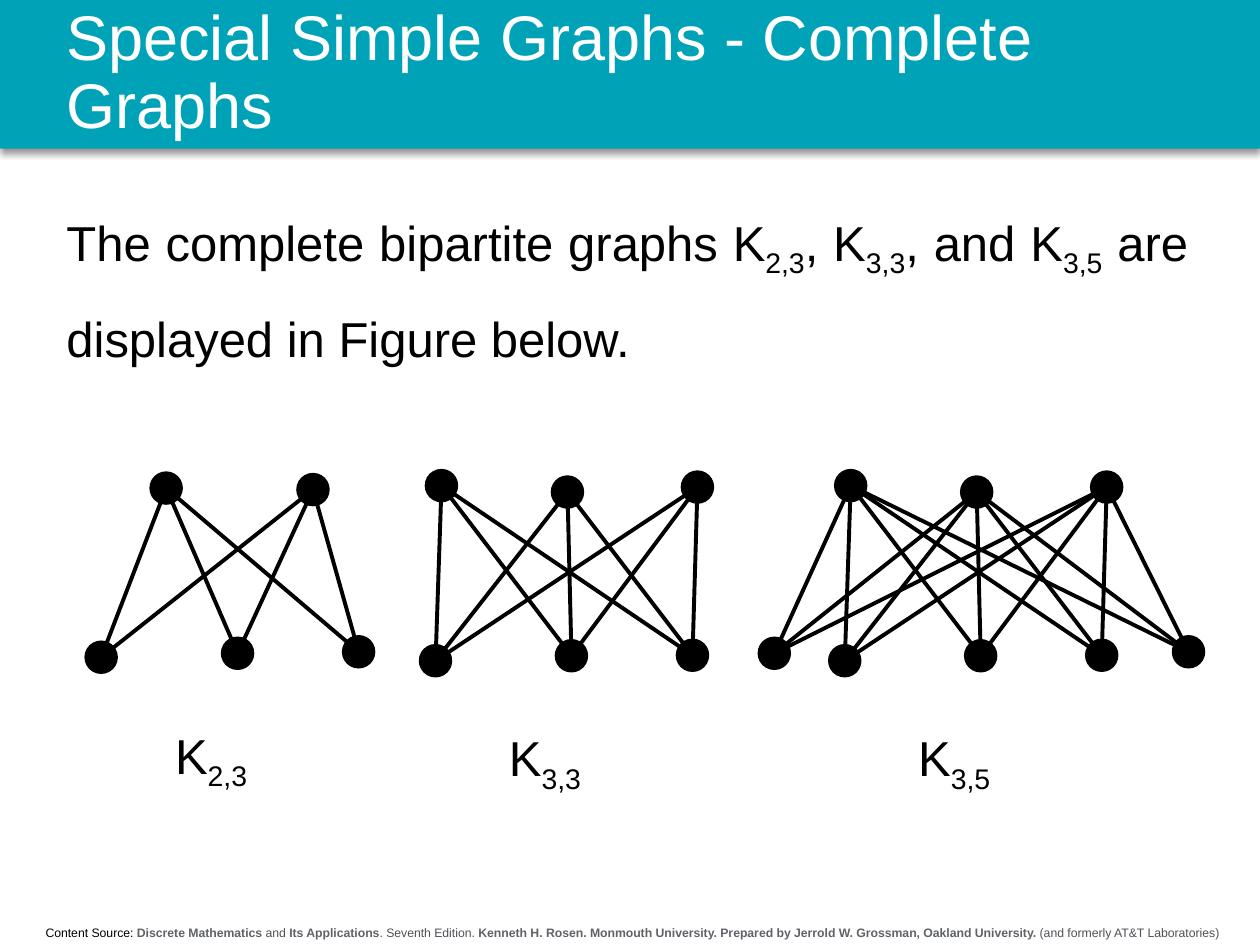
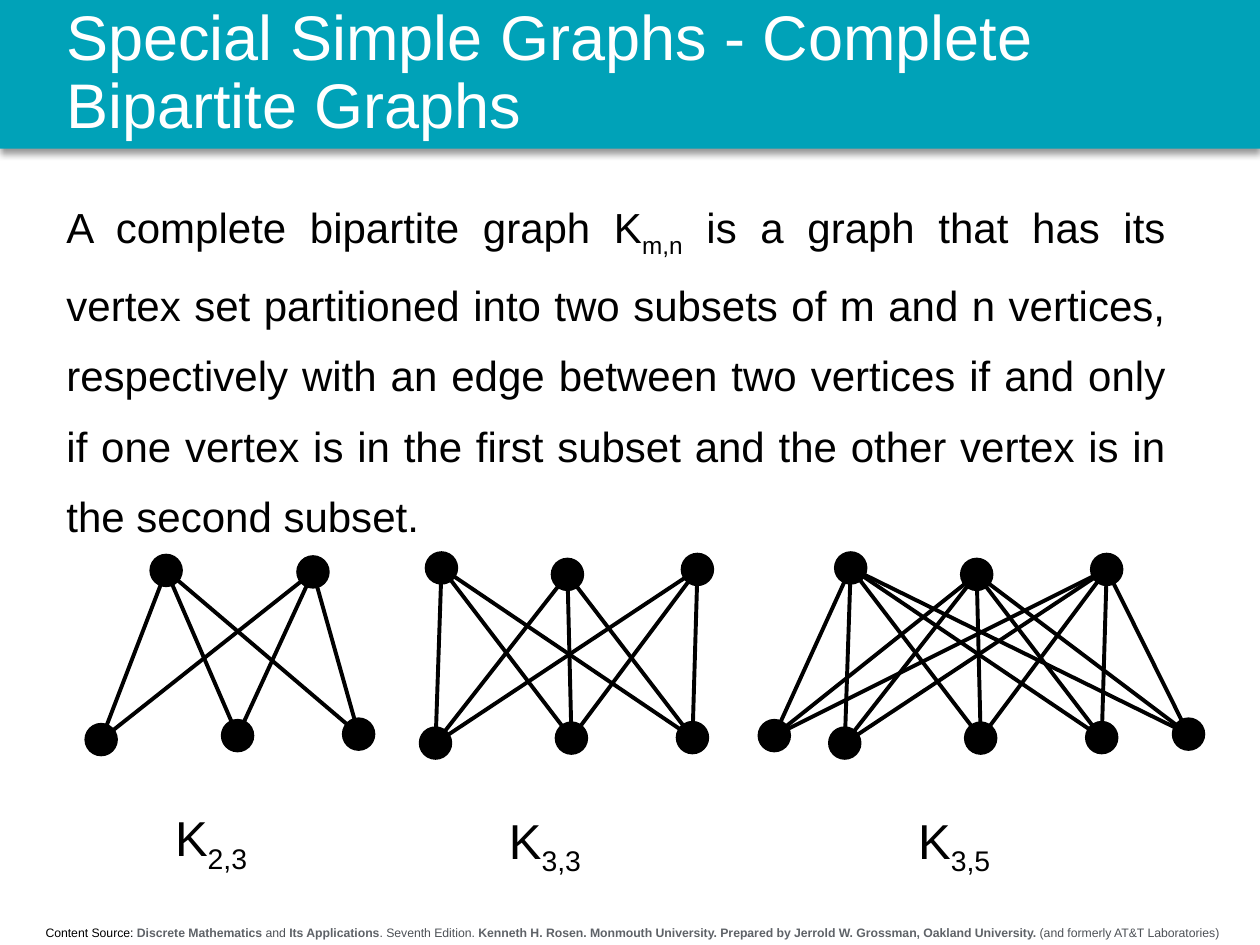
from dataclasses import dataclass
from itertools import product

from lxml.etree import SubElement
from pptx import Presentation
from pptx.dml.color import RGBColor
from pptx.enum.shapes import MSO_CONNECTOR, MSO_SHAPE
from pptx.enum.text import MSO_ANCHOR, PP_ALIGN
from pptx.oxml.ns import qn
from pptx.util import Cm, Pt


@dataclass(frozen=True)
class Theme:
    font: str = "Arial"
    band: RGBColor = RGBColor(0x00, 0xA2, 0xB8)
    white: RGBColor = RGBColor(0xFF, 0xFF, 0xFF)
    black: RGBColor = RGBColor(0x00, 0x00, 0x00)
    source_bold: RGBColor = RGBColor(0x5F, 0x63, 0x68)
    source_plain: RGBColor = RGBColor(0x4D, 0x51, 0x56)
    title_size: int = 36
    label_size: int = 28
    footer_size: int = 7
    edge_width: float = 2.25


THEME = Theme()
SLIDE_W, SLIDE_H = 25.4, 19.05
BAND_H = 3.0
MARGIN = 1.09
VERTEX_D = 0.64
LABEL_W, LABEL_H = 2.5, 1.45

# Vertex centres in cm; K3,5 repeats K3,3 further right with two more vertices
K33_TOP = [(8.9, 9.79), (11.44, 9.92), (14.06, 9.82)]
K33_BOTTOM = [(8.78, 13.32), (11.52, 13.22), (13.96, 13.21)]
K35_SHIFT = 8.25
GRAPHS = [
    # label, label position, top vertices, bottom vertices, shift to the right
    ("K|2,3", (3.28, 14.5), [(3.35, 9.84), (6.31, 9.87)],
     [(2.04, 13.25), (4.79, 13.17), (7.23, 13.14)], 0),
    ("K|3,3", (10.01, 14.55), K33_TOP, K33_BOTTOM, 0),
    ("K|3,5", (10.01, 14.55), K33_TOP,
     [(7.36, 13.17), *K33_BOTTOM, (15.71, 13.14)], K35_SHIFT),
]

FOOTER = [
    ("Content Source: ", THEME.black, False),
    ("Discrete Mathematics", THEME.source_bold, True),
    (" and ", THEME.source_plain, False),
    ("Its Applications", THEME.source_bold, True),
    (". Seventh Edition. ", THEME.source_plain, False),
    ("Kenneth H. Rosen. Monmouth University. Prepared by Jerrold W. Grossman, "
     "Oakland University.", THEME.source_bold, True),
    (" (and formerly AT&T Laboratories)", THEME.source_plain, False),
]

SLIDES = [
    # title, body, body width, body height, body size, line spacing, graph drop
    ("Special Simple Graphs - Complete Graphs",
     "The complete bipartite graphs K|2,3|, K|3,3|, and K|3,5| are displayed "
     "in Figure below.",
     23.11, 3.94, 28, 1.5, 0),
    ("Special Simple Graphs - Complete Bipartite Graphs",
     "A complete bipartite graph K|m,n| is a graph that has its vertex set "
     "partitioned into two subsets of m and n vertices, respectively with an "
     "edge between two vertices if and only if one vertex is in the first "
     "subset and the other vertex is in the second subset.",
     22.66, 7.59, 24, 1.4, 1.66),
]


def add_text(shapes, x, y, w, h, size, color=THEME.black, text="",
             align=PP_ALIGN.LEFT, spacing=1.0, anchor=MSO_ANCHOR.TOP):
    """Text box of one paragraph; every second part between bars is a subscript."""
    tf = shapes.add_textbox(Cm(x), Cm(y), Cm(w), Cm(h)).text_frame
    tf.word_wrap = True
    tf.vertical_anchor = anchor
    p = tf.paragraphs[0]
    p.alignment = align
    p.line_spacing = spacing
    p.font.name = THEME.font
    p.font.size = Pt(size)
    p.font.color.rgb = color
    for i, part in enumerate(text.split("|") if text else []):
        r = p.add_run()
        r.text = part
        if i % 2:
            r.font._element.set("baseline", "-25000")
    return p


def add_band(s):
    band = s.shapes.add_shape(MSO_SHAPE.RECTANGLE, 0, 0, Cm(SLIDE_W), Cm(BAND_H))
    band.fill.solid()
    band.fill.fore_color.rgb = THEME.band
    band.line.fill.background()
    band.shadow.inherit = False
    effects = band._element.spPr.find(qn("a:effectLst"))
    shadow = SubElement(effects, qn("a:outerShdw"), blurRad=str(Pt(4)),
                        dist=str(Pt(3)), dir="5400000", rotWithShape="0")
    color = SubElement(shadow, qn("a:srgbClr"), val=str(THEME.black))
    SubElement(color, qn("a:alpha"), val="40000")


def add_footer(s):
    p = add_text(s.shapes, 0.1, 18.52, 25.3, 0.56, THEME.footer_size,
                 align=PP_ALIGN.CENTER)
    for text, color, bold in FOOTER:
        r = p.add_run()
        r.text = text
        r.font.color.rgb = color
        r.font.bold = bold


def add_vertex(shapes, x, y):
    sp = shapes.add_shape(MSO_SHAPE.OVAL, Cm(x - VERTEX_D / 2),
                          Cm(y - VERTEX_D / 2), Cm(VERTEX_D), Cm(VERTEX_D))
    sp.fill.solid()
    sp.fill.fore_color.rgb = THEME.black
    sp.line.color.rgb = THEME.black
    sp.line.width = Pt(1)
    sp.shadow.inherit = False


def add_edge(shapes, start, end):
    edge = shapes.add_connector(MSO_CONNECTOR.STRAIGHT, *map(Cm, start + end))
    edge.line.color.rgb = THEME.black
    edge.line.width = Pt(THEME.edge_width)
    SubElement(edge._element.spPr, qn("a:effectLst"))


def add_bipartite_graph(s, label, label_at, top, bottom, dx, dy):
    """Group with both vertex rows, an edge for every pair, and the label."""
    shapes = s.shapes.add_group_shape().shapes
    top, bottom = ([(x + dx, y + dy) for x, y in row] for row in (top, bottom))
    for x, y in top + bottom:
        add_vertex(shapes, x, y)
    for low, high in product(bottom, top):
        add_edge(shapes, low, high)
    add_text(shapes, label_at[0] + dx, label_at[1] + dy, LABEL_W, LABEL_H,
             THEME.label_size, text=label)


def main():
    prs = Presentation()
    prs.slide_width, prs.slide_height = Cm(SLIDE_W), Cm(SLIDE_H)
    for title, body, width, height, size, spacing, drop in SLIDES:
        s = prs.slides.add_slide(prs.slide_layouts[6])
        # Shared frame
        add_band(s)
        add_footer(s)
        # Title and definition
        add_text(s.shapes, MARGIN, 0, 23.62, BAND_H, THEME.title_size,
                 THEME.white, title, spacing=0.9, anchor=MSO_ANCHOR.MIDDLE)
        add_text(s.shapes, MARGIN, 3.48, width, height, size, text=body,
                 align=PP_ALIGN.JUSTIFY, spacing=spacing)
        # Example graphs
        for graph in GRAPHS:
            add_bipartite_graph(s, *graph, drop)
    prs.save("out.pptx")


if __name__ == "__main__":
    main()
